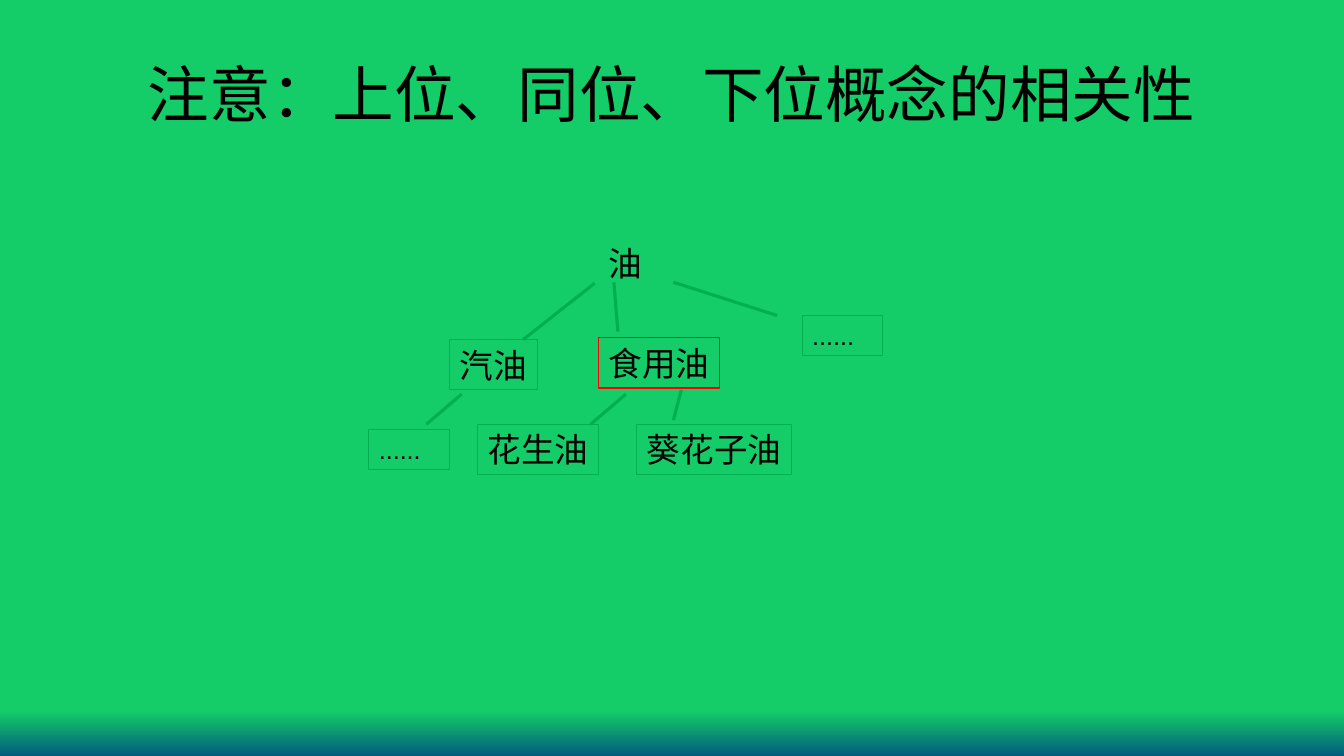
from dataclasses import dataclass

from lxml import etree
from pptx import Presentation
from pptx.dml import color
from pptx.enum import shapes, text
from pptx.oxml import ns
from pptx.util import Pt

GREEN, RED, BLACK = "00B050", "FF0000", "000000"


@dataclass
class Node:
    words: str
    left: float
    top: float
    width: float
    height: float = 36
    size: float = 24
    edge: str | None = GREEN
    wrap: bool = False
    align: text.PP_ALIGN = text.PP_ALIGN.LEFT
    anchor: text.MSO_ANCHOR = text.MSO_ANCHOR.TOP


@dataclass
class Branch:
    x1: float
    y1: float
    x2: float
    y2: float


def paint(target: color.ColorFormat, tone: str) -> None:
    target.rgb = color.RGBColor.from_string(tone)


def add_node(slide, node: Node) -> None:
    area = [Pt(v) for v in (node.left, node.top, node.width, node.height)]
    if node.edge:
        box = slide.shapes.add_shape(shapes.MSO_SHAPE.RECTANGLE, *area)
        box.shadow.inherit = False
        box.fill.background()
        paint(box.line.color, node.edge)
        box.line.width = Pt(0.75)
    else:
        box = slide.shapes.add_textbox(*area)
    frame = box.text_frame
    frame.word_wrap = node.wrap
    frame.vertical_anchor = node.anchor
    para = frame.paragraphs[0]
    para.alignment = node.align
    run = para.add_run()
    run.text = node.words
    run.font.name = "Arial"
    run.font.size = Pt(node.size)
    paint(run.font.color, BLACK)


def add_branch(slide, branch: Branch) -> None:
    ends = [Pt(v) for v in (branch.x1, branch.y1, branch.x2, branch.y2)]
    line = slide.shapes.add_connector(shapes.MSO_CONNECTOR.STRAIGHT, *ends)
    paint(line.line.color, GREEN)
    line.line.width = Pt(2.25)
    etree.SubElement(line._element.spPr, ns.qn("a:effectLst"))


def set_back(slide) -> None:
    fill = slide.background.fill
    fill.gradient()
    fill.gradient_angle = 270
    for stop, (place, tone) in zip(fill.gradient_stops, [(0.94, "14CD68"), (1, "035C7D")]):
        stop.position = place
        paint(stop.color, tone)


TITLE = Node("注意：上位、同位、下位概念的相关性", 48, 21.6, 864, 90, 44, None, True,
             text.PP_ALIGN.CENTER, text.MSO_ANCHOR.MIDDLE)

NODES = [
    TITLE,
    Node("油", 427.7, 170, 50.4, edge=None, wrap=True),
    Node("汽油", 321.1, 242.6, 62.6),
    Node("食用油", 427.7, 241.2, 86.4, edge=RED),
    Node("......", 573.1, 225.4, 57.6, 28.8, 18, wrap=True),
    Node("......", 263.5, 306.7, 57.6, 28.8, 18, wrap=True),
    Node("花生油", 341.3, 303.1, 86.4),
    Node("葵花子油", 455, 303.1, 110.2),
]

BRANCHES = [
    Branch(424.8, 202.3, 373.7, 242.6),
    Branch(438.5, 201.6, 441.4, 236.9),
    Branch(481, 201.6, 555.1, 225.4),
    Branch(329.8, 281.5, 304.6, 303.1),
    Branch(447.1, 281.5, 421.9, 303.1),
    Branch(486.7, 278.6, 481, 300.2),
]

deck = Presentation()
deck.slide_width, deck.slide_height = Pt(960), Pt(540)
page = deck.slides.add_slide(deck.slide_layouts[6])
set_back(page)
for branch in BRANCHES:
    add_branch(page, branch)
for node in NODES:
    add_node(page, node)
deck.save("out.pptx")
